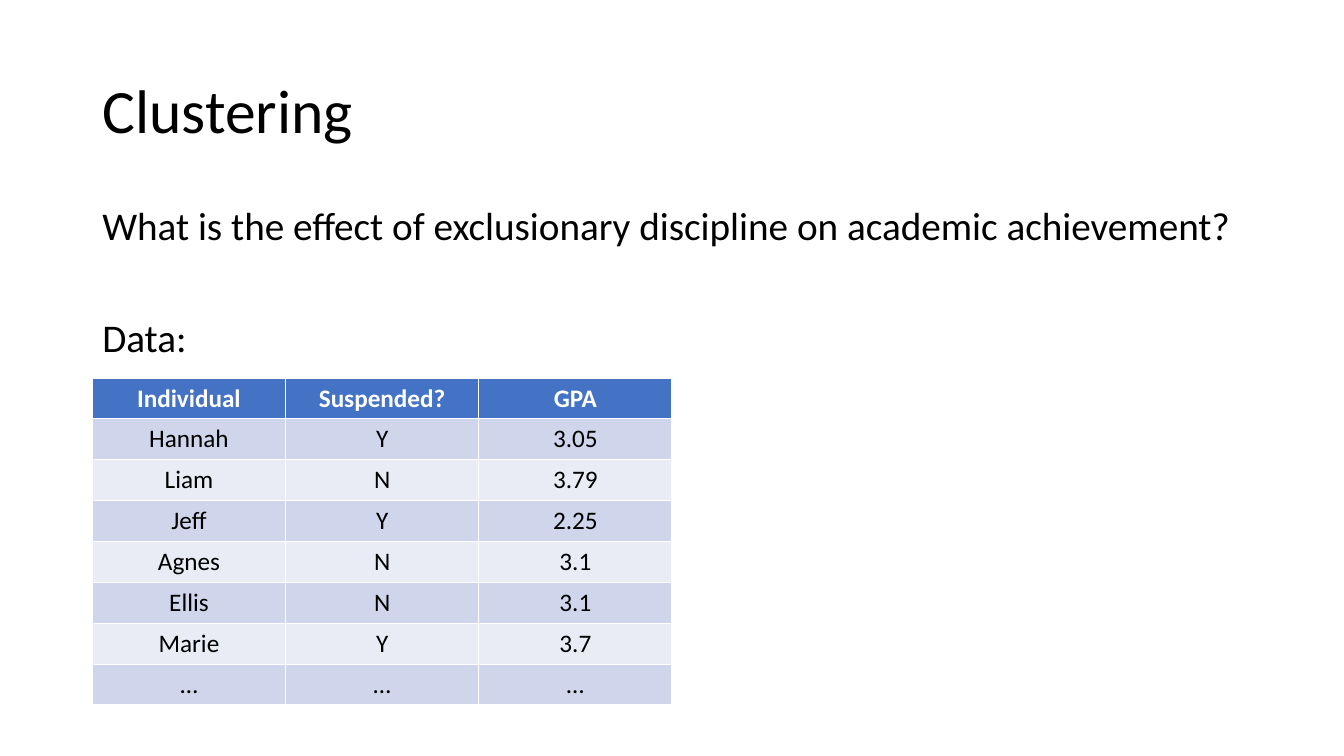
"""Build the Clustering slide with its question and student data table."""
import pptx
import pptx.dml.color
import pptx.enum.text
import pptx.util

Pt = pptx.util.Pt
PP_ALIGN = pptx.enum.text.PP_ALIGN
MSO_ANCHOR = pptx.enum.text.MSO_ANCHOR


def rgb(value):
    return pptx.dml.color.RGBColor.from_string(value)


def write(paragraph, text, color, align, **font_format):
    paragraph.text = text
    paragraph.alignment = align
    font = paragraph.runs[0].font
    font.color.rgb = rgb(color)
    for name, value in {"name": "Calibri", **font_format}.items():
        setattr(font, name, value)


deck = pptx.Presentation()
deck.slide_width, deck.slide_height = Pt(960), Pt(540)
slide = deck.slides.add_slide(deck.slide_layouts[5])

left, width = Pt(66), Pt(828)
heading = slide.shapes.title
question = slide.shapes.add_textbox(left, Pt(144), width, Pt(342.6))
for block, top, height, anchor in (
    (heading, 28.75, 104.4, MSO_ANCHOR.MIDDLE),
    (question, 144, 342.6, MSO_ANCHOR.TOP),
):
    block.left, block.top, block.width, block.height = left, Pt(top), width, Pt(height)
    frame_format = {
        "word_wrap": True,
        "auto_size": pptx.enum.text.MSO_AUTO_SIZE.NONE,
        "vertical_anchor": anchor,
    }
    for name, value in frame_format.items():
        setattr(block.text_frame, name, value)

title_line = heading.text_frame.paragraphs[0]
write(title_line, "Clustering", "000000", PP_ALIGN.LEFT, size=Pt(44))
title_line.line_spacing = 0.9

question_line = question.text_frame.paragraphs[0]
data_line = question.text_frame.add_paragraph()
for line, text, gap in (
    (question_line, "What is the effect of exclusionary discipline on academic achievement?", 10),
    (data_line, "Data:", 50),
):
    write(line, text, "000000", PP_ALIGN.LEFT, size=Pt(28))
    line.line_spacing = 0.9
    line.space_before = Pt(gap)

students = (
    ("Individual", "Suspended?", "GPA"),
    ("Hannah", "Y", "3.05"),
    ("Liam", "N", "3.79"),
    ("Jeff", "Y", "2.25"),
    ("Agnes", "N", "3.1"),
    ("Ellis", "N", "3.1"),
    ("Marie", "Y", "3.7"),
    ("…", "…", "…"),
)
row_height, column_width = Pt(29.2), Pt(138)
grades = slide.shapes.add_table(
    len(students), 3, left, Pt(270), 3 * column_width, len(students) * row_height
).table
for column in grades.columns:
    column.width = column_width
for index, student in enumerate(students):
    grades.rows[index].height = row_height
    header = index == 0
    fill = "4472C4" if header else ("E9EBF5", "CFD5EA")[index % 2]
    color = "FFFFFF" if header else "000000"
    for column_index, text in enumerate(student):
        cell = grades.cell(index, column_index)
        cell.fill.solid()
        cell.fill.fore_color.rgb = rgb(fill)
        write(cell.text_frame.paragraphs[0], text, color, PP_ALIGN.CENTER,
              size=Pt(18), bold=header)

deck.save("out.pptx")
